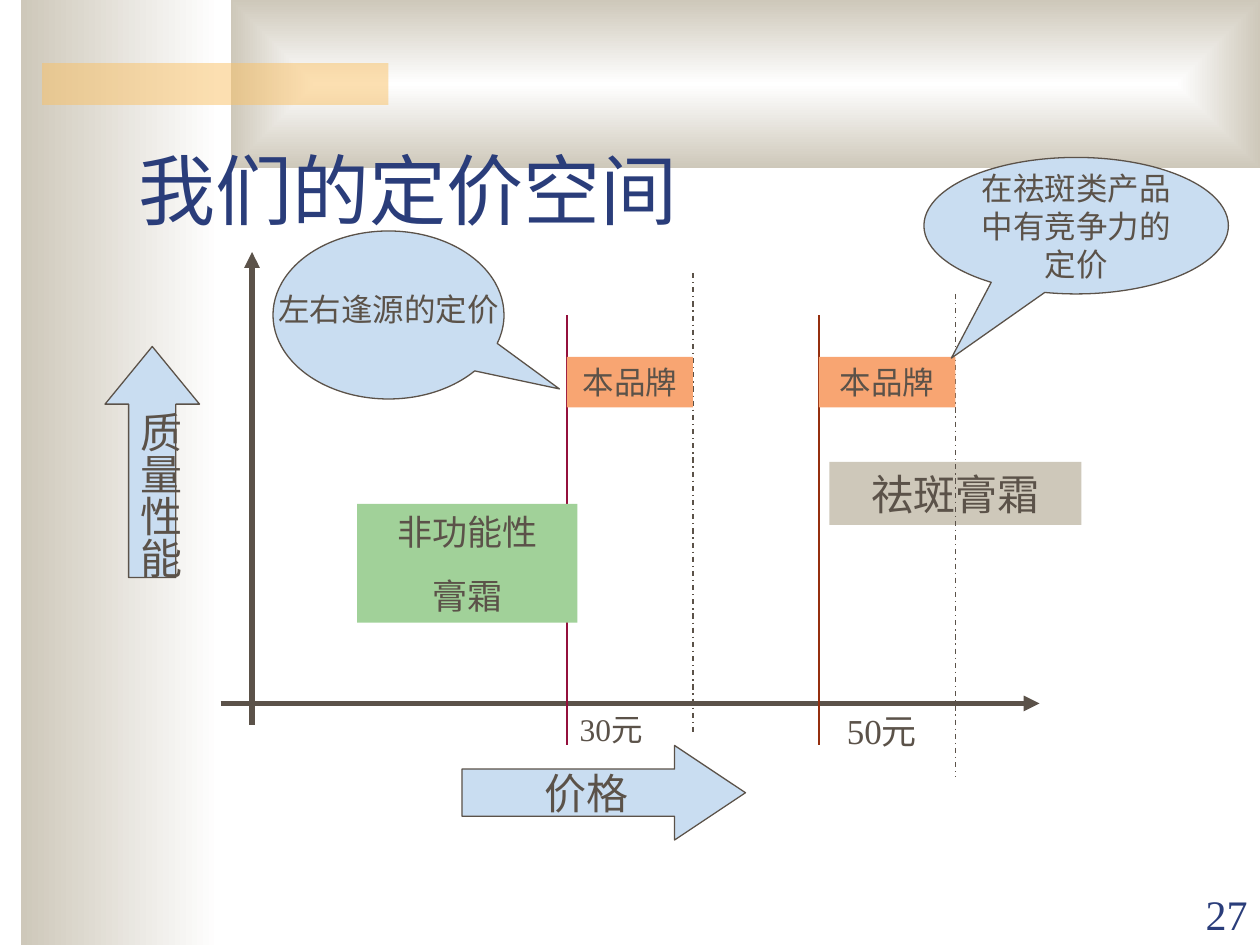
from dataclasses import dataclass
from lxml.etree import SubElement
from pptx import Presentation
from pptx.dml.color import RGBColor
from pptx.enum.dml import MSO_LINE as Dash
from pptx.enum.shapes import MSO_CONNECTOR as Connector, MSO_SHAPE as Kind
from pptx.enum.text import MSO_ANCHOR as Anchor, PP_ALIGN as Align
from pptx.oxml import parse_xml
from pptx.oxml.ns import nsdecls, qn
from pptx.util import Inches, Pt


@dataclass(frozen=True)
class Theme:
    font: str = "Times New Roman"
    ink: str = "5B5249"
    navy: str = "2A3D7A"
    white: str = "FFFFFF"
    stone: str = "CEC8BA"
    amber: str = "FAC164"
    sky: str = "C9DDF1"
    green: str = "A1D199"
    orange: str = "F8A572"
    wine: str = "94103C"
    rust: str = "952F0F"
    title: int = 44
    large: int = 24
    medium: int = 20
    small: int = 18


theme = Theme()
COLUMNS, ROWS = 120, 90
deck = Presentation()
deck.slide_width, deck.slide_height = Inches(10), Inches(7.5)
column, row = deck.slide_width // COLUMNS, deck.slide_height // ROWS
page = deck.slides.add_slide(deck.slide_layouts[1])
shapes = page.shapes
title, price_label = page.placeholders


def add_box(cells, lines=(), size=theme.small, kind=None, fill=None, edge=None, holder=None,
            color=theme.ink, align=Align.CENTER, anchor=Anchor.TOP, wrap=True):
    left, top, width, height = cells
    area = [int(n) for n in (left * column, top * row, width * column, height * row)]
    box = holder or (shapes.add_shape(kind, *area) if kind else shapes.add_textbox(*area))
    box.left, box.top, box.width, box.height = area
    if kind:
        box.shadow.inherit = False
        box.line.fill.background()
    if fill:
        box.fill.solid()
        box.fill.fore_color.rgb = RGBColor.from_string(fill)
    if edge:
        box.line.color.rgb = RGBColor.from_string(edge)
        box.line.width = Pt(0.75)
    frame = box.text_frame
    frame.word_wrap, frame.vertical_anchor = wrap, anchor
    for index, line in enumerate(lines):
        para = frame.add_paragraph() if index else frame.paragraphs[0]
        para.text, para.alignment = line, align
        para.space_before = Pt(12.5 if index else 0)
        if holder:
            settings = para._p.get_or_add_pPr()
            settings.set("marL", "0")
            settings.set("indent", "0")
            SubElement(settings, qn("a:buNone"))
        para.font.name, para.font.size = theme.font, Pt(size)
        para.font.color.rgb = RGBColor.from_string(color)
    return box


def add_line(start, end, color=theme.ink, width=0.75, dash=None, arrow=False):
    line = shapes.add_connector(Connector.STRAIGHT, start[0] * column, start[1] * row,
                                end[0] * column, end[1] * row)
    line.line.color.rgb = RGBColor.from_string(color)
    line.line.width = Pt(width)
    if dash:
        line.line.dash_style = dash
    if arrow:
        SubElement(line.line._get_or_add_ln(), qn("a:tailEnd"), type="triangle")
    SubElement(line._element.spPr, qn("a:effectLst"))


side_band = add_box((2, 0, 18.96, ROWS), kind=Kind.RECTANGLE)
header = add_box((22, 0, 98, 16), kind=Kind.RECTANGLE)
for panel in (side_band, header):
    panel.fill.gradient()
    panel.fill.gradient_angle = 180
    for stop, color, position in zip(panel.fill.gradient_stops, (theme.white, theme.stone), (0, 1)):
        stop.color.rgb = RGBColor.from_string(color)
        stop.position = position
gradient = header._element.spPr.find(qn("a:gradFill"))
gradient.replace(gradient.find(qn("a:lin")), parse_xml(
    f'<a:path {nsdecls("a")} path="rect">'
    '<a:fillToRect l="50000" t="50000" r="50000" b="50000"/></a:path>'))
accent = add_box((4, 6, 33, 4), kind=Kind.RECTANGLE, fill=theme.amber)
SubElement(next(accent._element.spPr.iter(qn("a:srgbClr"))), qn("a:alpha"), val="50000")

for holder in (title, price_label):
    shapes._spTree.append(holder._element)
add_box((12, 8, 102, 15), ["我们的定价空间"], theme.title, holder=title,
        color=theme.navy, align=Align.LEFT, anchor=Anchor.BOTTOM)
add_box((54, 67, 18, 7.4), ["30元"], holder=price_label, align=Align.LEFT)

add_line((21, 67), (99, 67), width=3, arrow=True)
add_line((24, 69), (24, 24), width=3, arrow=True)
price_arrow = add_box((44, 71, 27, 9), ["价格"], theme.large, Kind.RIGHT_ARROW, theme.sky,
                      theme.ink, anchor=Anchor.MIDDLE, wrap=False)
price_arrow.adjustments[1] = 0.75
quality_arrow = add_box((10, 33, 9, 22), kind=Kind.UP_ARROW, fill=theme.sky, edge=theme.ink)
quality_arrow.adjustments[1] = 0.61
quality = add_box((11, 38, 7.2, 17.3), ["质量性能"], theme.large, wrap=False).text_frame
quality._txBody.bodyPr.set("vert", "eaVert")
quality.margin_left = quality.margin_right = Inches(0.05)
quality.margin_top = quality.margin_bottom = Inches(0.1)

for x, color in ((54, theme.wine), (78, theme.rust)):
    add_line((x, 30), (x, 71), color)
add_box((78, 67, 12, 5.3), ["50元"], theme.medium)
add_box((34, 48, 21, 11.3), ["非功能性", "膏霜"], theme.medium, Kind.RECTANGLE, theme.green)
add_box((79, 44, 24, 6), ["祛斑膏霜"], theme.large, Kind.RECTANGLE, theme.stone)

for left, right, top, bottom in ((54, 66, 26, 70), (78, 91, 28, 74)):
    add_line((right, top), (right, bottom), dash=Dash.DASH_DOT)
    add_box((left, 34, right - left, 4.8), ["本品牌"], kind=Kind.RECTANGLE, fill=theme.orange)

for cells, lines, tip in (((26, 22, 22, 16), [], (0.74, 0.44)),
                          ((88, 15, 29, 13), ["在祛斑类产品中有竞争力的定价"], (-0.41, 0.97))):
    callout = add_box(cells, lines, kind=Kind.OVAL_CALLOUT, fill=theme.sky, edge=theme.ink,
                      anchor=Anchor.MIDDLE)
    callout.adjustments[0], callout.adjustments[1] = tip
add_box((25, 27, 24, 4.8), ["左右逢源的定价"])
add_box((108, 84, 12, 6), ["27"], theme.large, color=theme.navy, align=Align.RIGHT,
        anchor=Anchor.BOTTOM)

deck.save("out.pptx")
